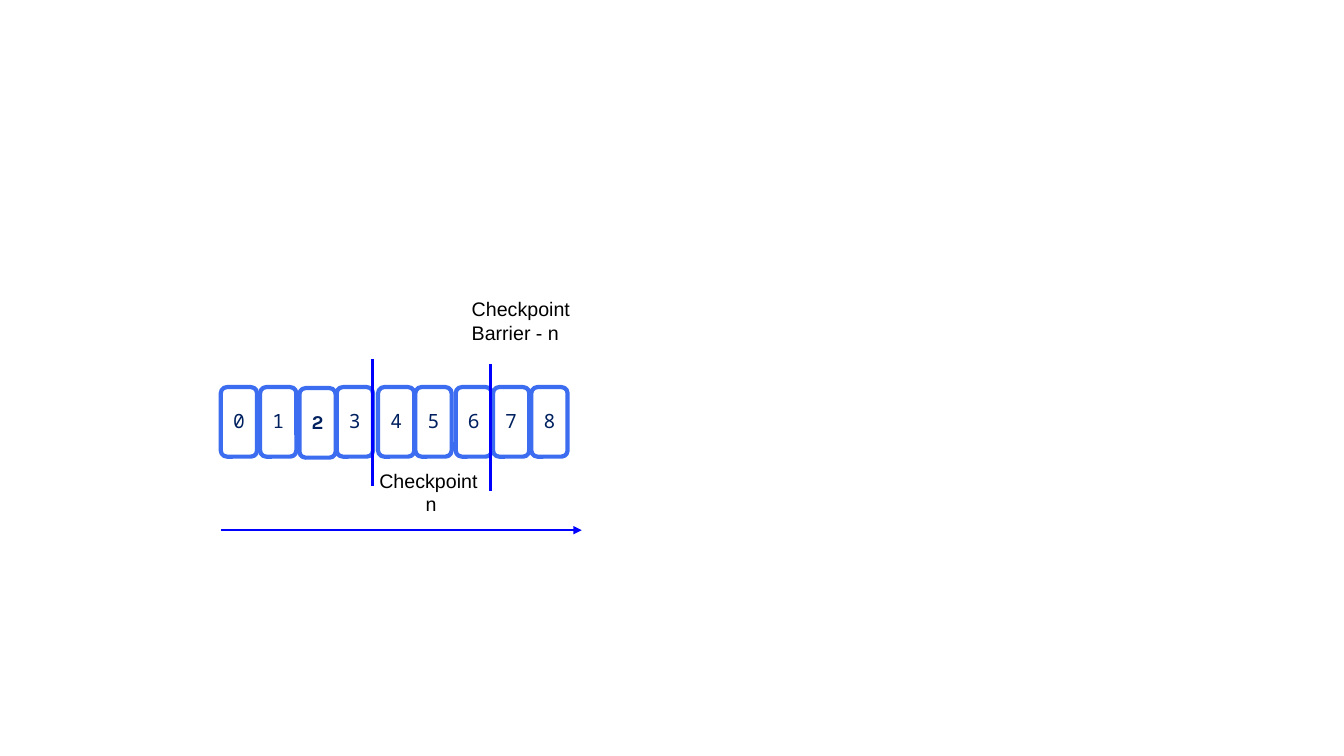
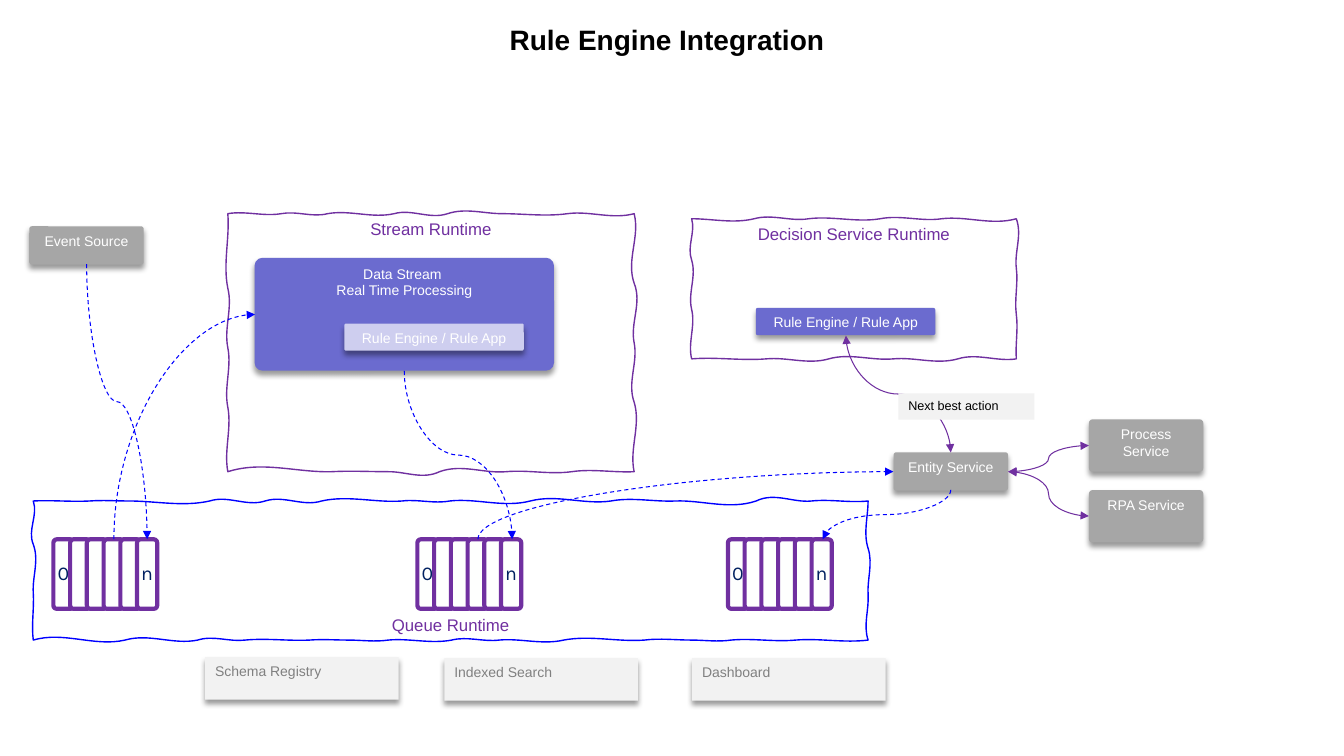
import math

import lxml.etree
import pptx
import pptx.dml.color
import pptx.enum.dml
import pptx.enum.shapes
import pptx.enum.text
import pptx.oxml.ns
import pptx.util

RGBColor = pptx.dml.color.RGBColor
SHAPE = pptx.enum.shapes.MSO_SHAPE
CONNECTOR = pptx.enum.shapes.MSO_CONNECTOR
ANCHOR = pptx.enum.text.MSO_ANCHOR
ALIGN = pptx.enum.text.PP_ALIGN

BLACK = RGBColor(0x00, 0x00, 0x00)
WHITE = RGBColor(0xFF, 0xFF, 0xFF)
CELL_FILL = RGBColor(0xFE, 0xFF, 0xFE)
CELL_BLUE = RGBColor(0x3C, 0x6D, 0xF0)
NAVY = RGBColor(0x00, 0x20, 0x60)
BLUE = RGBColor(0x00, 0x00, 0xFF)
PURPLE = RGBColor(0x70, 0x30, 0xA0)
INDIGO = RGBColor(0x6B, 0x6B, 0xCF)
LAVENDER = RGBColor(0xCE, 0xCE, 0xEF)
GRAY = RGBColor(0xA6, 0xA6, 0xA6)
DARK_GRAY = RGBColor(0x80, 0x80, 0x80)
PALE_GRAY = RGBColor(0xF2, 0xF2, 0xF2)

COLUMNS, ROWS = 133.3, 75
SLIDE_WIDTH = pptx.util.Inches(13.33)
SLIDE_HEIGHT = pptx.util.Inches(7.5)
BODY_FONT = "Arial"
CELL_FONT = "Karla"
CELL_TOP, CELL_HEIGHT = 53.5, 6.9
CELL_INSETS = (0.3, 0.3)
TEXT_INSETS = (1, 0.5)

STREAM_SIDES = [
    (-0.3, [(27.9, 0.3), (32.5, 0.4), (39.1, 0.5), (44.4, 0.6), (49.8, 0),
            (56.3, 0.3), (62.9, 0.6)]),
    (0.6, [(28.1, -0.8), (34, -0.4), (39.9, -0.7), (46.8, -0.5)]),
    (0.1, [(56.7, -0.3), (50.2, -0.2), (43.6, -0.8), (38.6, 0),
           (32.9, -0.1), (22.6, -1.1)]),
    (-0.4, [(40.4, 0.4), (34.5, 0.4), (28.6, 0.5), (21.2, 0.2)]),
]
QUEUE_SIDES = [
    (-0.1, [(8.9, 0.1), (12.8, 0), (20.8, 0.6), (26.3, 0.6), (31.9, 0.6),
            (39.9, 0.2), (44.6, 0.3), (52.6, 0.7), (60.6, 0.4), (67, 0.1),
            (75, 0.9), (80.5, 0.2), (86.1, 0.2)]),
    (0, [(54.4, -0.5), (59, -0.1), (63.5, -0.5)]),
    (0.3, [(78.9, -0.2), (72.5, -0.2), (68.6, 0), (63.9, -0.2),
           (55.9, -0.5), (49.5, -0.2), (44.8, -0.4), (38.5, -0.2),
           (34.6, 0), (30.7, -0.1), (24.3, -0.2), (19.6, -0.5),
           (12.4, -0.7), (3.3, -0.9)]),
    (-0.2, [(58.8, 0.1), (54, 0.6), (49.7, 0.5)]),
]
DECISION_SIDES = [
    (0, [(74.8, 0.5), (80.2, 0.3), (87.3, 0.4), (93.4, 0.3), (100.8, 0.7)]),
    (0.6, [(26.6, -0.2), (31.2, -0.2), (35.6, -0.1)]),
    (0.3, [(95, -0.6), (88.6, -0.2), (82.2, -0.6), (76, -0.2),
           (68.6, -0.2)]),
    (-0.4, [(30.7, 0.4), (25.8, 0.5), (21.7, 0.4)]),
]


def across(columns):
    return pptx.util.Emu(round(SLIDE_WIDTH * columns / COLUMNS))


def down(rows):
    return pptx.util.Emu(round(SLIDE_HEIGHT * rows / ROWS))


def place(left, top, width, height):
    return across(left), down(top), across(width), down(height)


def add_child(parent, tag, **attributes):
    return lxml.etree.SubElement(parent, pptx.oxml.ns.qn(tag), attributes)


def write_text(shape, lines, size, color, font=BODY_FONT, bold=False,
               align=ALIGN.CENTER, anchor=ANCHOR.TOP, insets=TEXT_INSETS,
               spacing=1.0, wrap=True):
    frame = shape.text_frame
    frame.word_wrap = wrap
    frame.vertical_anchor = anchor
    frame.margin_left = frame.margin_right = across(insets[0])
    frame.margin_top = frame.margin_bottom = down(insets[1])
    for index, line in enumerate(lines):
        para = frame.add_paragraph() if index else frame.paragraphs[0]
        para.alignment = align
        para.line_spacing = spacing
        span = para.add_run()
        span.text = line
        span.font.name = font
        span.font.size = pptx.util.Pt(size)
        span.font.bold = bold
        span.font.color.rgb = color


def add_text(page, area, lines, size, **style):
    box = page.shapes.add_textbox(*place(*area))
    write_text(box, lines, size, BLACK, **style)


def add_title(page, text):
    add_text(page, (6.05, 1.95, 120.2, 3.8), [text], 20, bold=True,
             anchor=ANCHOR.MIDDLE, insets=(0, 0))


def add_panel(page, area, fill, corner=0.0):
    kind = SHAPE.ROUNDED_RECTANGLE if corner else SHAPE.RECTANGLE
    panel = page.shapes.add_shape(kind, *place(*area))
    if corner:
        panel.adjustments[0] = corner
    panel.shadow.inherit = False
    panel.fill.solid()
    panel.fill.fore_color.rgb = fill
    panel.line.fill.background()
    return panel


def add_shadow(shape):
    effects = shape._element.spPr.find(pptx.oxml.ns.qn("a:effectLst"))
    shadow = add_child(effects, "a:outerShdw", blurRad="50800", dist="38100",
                       dir="5400000", algn="t", rotWithShape="0")
    color = add_child(shadow, "a:srgbClr", val=str(BLACK))
    add_child(color, "a:alpha", val="40000")


def add_node(page, area, fill, lines):
    node = add_panel(page, area, fill, 0.07)
    add_shadow(node)
    write_text(node, lines, 10, WHITE)


def add_tool(page, left, top, name):
    tool = add_panel(page, (left, top, 19.2, 4.2), PALE_GRAY)
    add_shadow(tool)
    write_text(tool, [name], 10, DARK_GRAY, align=ALIGN.LEFT)


def add_cell(page, area, border, label, font=CELL_FONT, bold=False):
    cell = add_panel(page, area, CELL_FILL, 0.17)
    cell.line.color.rgb = border
    cell.line.width = pptx.util.Pt(3)
    if label:
        write_text(cell, [label], 14, NAVY, font, bold, anchor=ANCHOR.MIDDLE,
                   insets=CELL_INSETS, spacing=0.9)


def add_queue(page, left):
    for index, label in enumerate(["0", "", "", "", "", "n"]):
        area = (left + 1.66 * index, CELL_TOP, 2, CELL_HEIGHT)
        add_cell(page, area, PURPLE, label)


def wavy_curves(start, sides):
    for index, (swing, stops) in enumerate(sides):
        axis = index % 2
        for stop, next_swing in stops:
            curve = []
            for share, shift in [(1 / 3, swing), (2 / 3, next_swing), (1, 0)]:
                point = list(start)
                point[axis] += (stop - start[axis]) * share
                point[1 - axis] += shift
                curve.append((across(point[0]), down(point[1])))
            yield curve
            start[axis] = stop
            swing = -next_swing


def add_wavy_frame(page, sides, color, label, anchor=ANCHOR.TOP):
    corner = [sides[2][1][-1][0], sides[3][1][-1][0]]
    builder = page.shapes.build_freeform(across(corner[0]), down(corner[1]))
    curves = list(wavy_curves(corner, sides))
    builder.add_line_segments([curve[-1] for curve in curves], close=True)
    frame = builder.convert_to_shape()
    segments = list(frame._element.iter(pptx.oxml.ns.qn("a:lnTo")))
    for segment, curve in zip(segments, curves):
        segment.tag = pptx.oxml.ns.qn("a:cubicBezTo")
        segment.remove(segment[0])
        for x, y in curve:
            add_child(segment, "a:pt", x=str(x - frame.left),
                      y=str(y - frame.top))
    frame.shadow.inherit = False
    frame.fill.background()
    frame.line.color.rgb = color
    frame.line.width = pptx.util.Pt(1)
    write_text(frame, [label], 12, PURPLE, anchor=anchor)


def add_line(page, start, end, color, weight, kind=CONNECTOR.STRAIGHT,
             dashed=False, ends=()):
    line = page.shapes.add_connector(kind, across(start[0]), down(start[1]),
                                     across(end[0]), down(end[1]))
    line.line.color.rgb = color
    line.line.width = pptx.util.Pt(weight)
    if dashed:
        line.line.dash_style = pptx.enum.dml.MSO_LINE.DASH
    outline = line.line._get_or_add_ln()
    for tag in ends:
        add_child(outline, tag, type="triangle")
    add_child(line._element.spPr, "a:effectLst")
    return line


def add_upright_curve(page, start, end, preset="curvedConnector3", **style):
    run, rise = end[0] - start[0], end[1] - start[1]
    middle_x, middle_y = (start[0] + end[0]) / 2, (start[1] + end[1]) / 2
    half_x = math.copysign(abs(rise) / 2, run)
    half_y = math.copysign(abs(run) / 2, -rise)
    curve = add_line(page, (middle_x + half_x, middle_y + half_y),
                     (middle_x - half_x, middle_y - half_y),
                     weight=0.75, kind=CONNECTOR.CURVE, **style)
    properties = curve._element.spPr
    degrees = 90 if run * rise < 0 else 270
    properties.find(pptx.oxml.ns.qn("a:xfrm")).set("rot", str(degrees * 60000))
    properties.find(pptx.oxml.ns.qn("a:prstGeom")).set("prst", preset)


def build_checkpoint_page(page):
    lefts = [21.9, 25.8, 29.7, 33.4, 37.5, 41.2, 45.2, 48.9, 52.7]
    for number, left in enumerate(lefts):
        marked = number == 2
        add_cell(page, (left, 38.5 if marked else 38.4, 3.6, CELL_HEIGHT),
                 CELL_BLUE, str(number),
                 CELL_FONT if marked else "Noto Sans Mono", marked)
    for left, top in [(36.95, 35.6), (48.63, 36.1)]:
        add_line(page, (left, top), (left, top + 12.6), BLUE, 2.25)
    add_text(page, (45.8, 29, 11.8, 5.7), ["Checkpoint", "Barrier - n"], 14,
             align=ALIGN.LEFT, wrap=False)
    add_line(page, (21.9, 52.6), (57.7, 52.6), BLUE, 1.5, ends=["a:tailEnd"])
    add_text(page, (36.6, 46, 11.8, 5.7), ["Checkpoint", " n"], 14, wrap=False)


def build_integration_page(page):
    add_title(page, "Rule Engine Integration")

    add_wavy_frame(page, STREAM_SIDES, PURPLE, "Stream Runtime")
    add_wavy_frame(page, QUEUE_SIDES, BLUE, "Queue Runtime", ANCHOR.BOTTOM)
    add_wavy_frame(page, DECISION_SIDES, PURPLE, "Decision Service Runtime")

    rule_app = ["Rule Engine / Rule App"]
    for area, fill, lines in [
        ((2.9, 22.45, 11.35, 3.8), GRAY, ["Event Source"]),
        ((25.25, 25.57, 29.7, 11.2), INDIGO,
         ["Data Stream ", "Real Time Processing"]),
        ((34.15, 32.1, 17.8, 2.7), LAVENDER, rule_app),
        ((74.97, 30.55, 17.8, 2.7), INDIGO, rule_app),
        ((88.63, 44.87, 11.35, 3.8), GRAY, ["Entity Service"]),
        ((108, 41.6, 11.35, 5.2), GRAY, ["Process Service"]),
        ((108, 48.62, 11.35, 5.2), GRAY, ["RPA Service"]),
    ]:
        add_node(page, area, fill, lines)

    for left in (5.3, 41.4, 72.2):
        add_queue(page, left)

    event_flow = {"color": BLUE, "dashed": True, "ends": ["a:tailEnd"]}
    service_call = {"color": PURPLE, "ends": ["a:headEnd", "a:tailEnd"]}
    for start, end in [((8.6, 26.2), (14.6, CELL_TOP)),
                       ((40.1, 36.8), (50.8, CELL_TOP)),
                       ((94.3, 48.6), (81.6, CELL_TOP))]:
        add_upright_curve(page, start, end, **event_flow)
    for start, end in [((11.3, CELL_TOP), (25.3, 31.2)),
                       ((47.4, CELL_TOP), (88.6, 46.8))]:
        add_upright_curve(page, start, end, "curvedConnector2", **event_flow)
    add_upright_curve(page, (94.3, 44.9), (83.9, 33.3), **service_call)
    for row in (44.2, 51.2):
        add_line(page, (100, 46.8), (108, row), weight=0.75,
                 kind=CONNECTOR.CURVE, **service_call)

    action = add_panel(page, (89.1, 39.03, 13.5, 2.6), PALE_GRAY)
    write_text(action, ["Next best action"], 9, BLACK, align=ALIGN.LEFT)

    for left, top, name in [(20.35, 65.2, "Schema Registry"),
                            (44.07, 65.3, "Indexed Search"),
                            (68.65, 65.3, "Dashboard")]:
        add_tool(page, left, top, name)


def main():
    deck = pptx.Presentation()
    deck.slide_width = SLIDE_WIDTH
    deck.slide_height = SLIDE_HEIGHT
    for build_page in (build_checkpoint_page, build_integration_page):
        build_page(deck.slides.add_slide(deck.slide_layouts[6]))
    deck.save("out.pptx")


if __name__ == "__main__":
    main()
